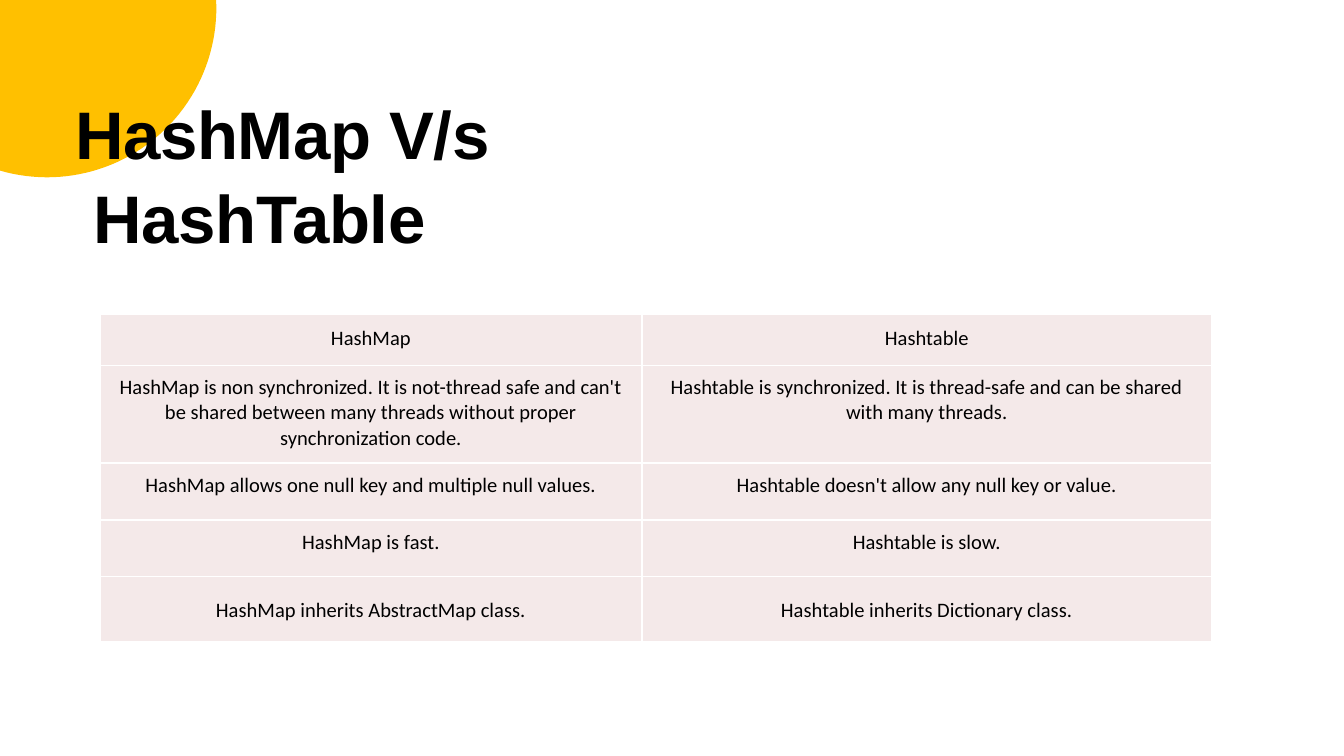
from dataclasses import dataclass
from math import asin, cos, pi, sin

from lxml.etree import SubElement
from pptx import Presentation
from pptx.dml.color import RGBColor
from pptx.enum.text import PP_ALIGN
from pptx.oxml.ns import qn
from pptx.util import Cm, Pt


@dataclass(frozen=True)
class Theme:
    accent: RGBColor = RGBColor(0xFF, 0xC0, 0x00)
    cell: RGBColor = RGBColor(0xF4, 0xE9, 0xE9)
    ink: RGBColor = RGBColor(0x00, 0x00, 0x00)
    border: str = "FFFFFF"
    title_font: str = "Arial"
    table_font: str = "Calibri"
    title_size: int = 36
    table_size: int = 11


class SlideBuilder:
    def __init__(self, slide, theme):
        self.slide = slide
        self.theme = theme

    def style(self, paragraph, font_name, size, bold=False):
        font = paragraph.font
        font.name, font.size, font.bold = font_name, Pt(size), bold
        font.color.rgb = self.theme.ink

    def corner_disc(self, center_x, center_y, radius, steps=48):
        """Draw the part of a disc that lies inside the top left corner."""
        start = -asin(center_y / radius)
        end = pi - asin((radius ** 2 - center_x ** 2) ** 0.5 / radius)
        angles = [start + (end - start) * step / steps for step in range(steps + 1)]
        arc = [(Cm(max(0, center_x + radius * cos(angle))),
                Cm(max(0, center_y + radius * sin(angle)))) for angle in angles]
        builder = self.slide.shapes.build_freeform(0, 0)
        builder.add_line_segments(arc, close=True)
        shape = builder.convert_to_shape()
        shape.shadow.inherit = False
        shape.fill.solid()
        shape.fill.fore_color.rgb = self.theme.accent
        shape.line.fill.background()

    def title(self, text, left, top, width, height, hanging):
        shape = self.slide.shapes.add_textbox(Cm(left), Cm(top), Cm(width), Cm(height))
        frame = shape.text_frame
        frame.word_wrap = True
        frame.margin_left = frame.margin_right = frame.margin_bottom = 0
        frame.margin_top = Cm(0.06)
        paragraph = frame.paragraphs[0]
        paragraph.text = text
        paragraph.line_spacing = 1.05
        properties = paragraph._p.get_or_add_pPr()
        properties.set("marL", str(Cm(hanging)))
        properties.set("indent", str(-Cm(hanging)))
        self.style(paragraph, self.theme.title_font, self.theme.title_size, bold=True)
        for run in paragraph.runs:
            run._r.get_or_add_rPr().set("spc", "-20")

    def borders(self, cell):
        properties = cell._tc.get_or_add_tcPr()
        for position, side in enumerate(("lnL", "lnR", "lnT", "lnB")):
            line = SubElement(properties, qn(f"a:{side}"), w=str(Pt(1)))
            fill = SubElement(line, qn("a:solidFill"))
            SubElement(fill, qn("a:srgbClr"), val=self.theme.border)
            properties.insert(position, line)

    def table(self, rows, left, top, widths, heights, top_margins):
        frame = self.slide.shapes.add_table(
            len(rows), len(widths), Cm(left), Cm(top), Cm(sum(widths)), Cm(sum(heights)))
        table = frame.table
        table.first_row = table.horz_banding = False
        for column, width in zip(table.columns, widths):
            column.width = Cm(width)
        for row, height, texts, margin in zip(table.rows, heights, rows, top_margins):
            row.height = Cm(height)
            for cell, text in zip(row.cells, texts):
                cell.margin_left = cell.margin_right = Cm(0.28)
                cell.margin_top, cell.margin_bottom = Cm(margin), 0
                cell.fill.solid()
                cell.fill.fore_color.rgb = self.theme.cell
                self.borders(cell)
                paragraph = cell.text_frame.paragraphs[0]
                paragraph.text = text
                paragraph.alignment = PP_ALIGN.CENTER
                self.style(paragraph, self.theme.table_font, self.theme.table_size)


COMPARISON = [
    ("HashMap", "Hashtable"),
    ("HashMap is non synchronized. It is not-thread safe and can't be shared "
     "between many threads without proper synchronization code.",
     "Hashtable is synchronized. It is thread-safe and can be shared with many threads."),
    ("HashMap allows one null key and multiple null values.",
     "Hashtable doesn't allow any null key or value."),
    ("HashMap is fast.", "Hashtable is slow."),
    ("HashMap inherits AbstractMap class.", "Hashtable inherits Dictionary class."),
]


def main():
    presentation = Presentation()
    presentation.slide_width, presentation.slide_height = Cm(25.4), Cm(14.28)
    slide = presentation.slides.add_slide(presentation.slide_layouts[6])
    builder = SlideBuilder(slide, Theme())

    # Corner decoration
    builder.corner_disc(center_x=0.89, center_y=0.15, radius=3.2)

    # Title, second line slightly indented
    builder.title("HashMap V/s\vHashTable", 1.42, 1.6, 7.98, 3.12, hanging=0.35)

    # Comparison table
    builder.table(COMPARISON, left=1.89, top=5.93, widths=[10.24, 10.77],
                  heights=[0.97, 1.85, 1.07, 1.07, 1.23],
                  top_margins=[0.23, 0.18, 0.18, 0.18, 0.41])

    presentation.save("out.pptx")


if __name__ == "__main__":
    main()
